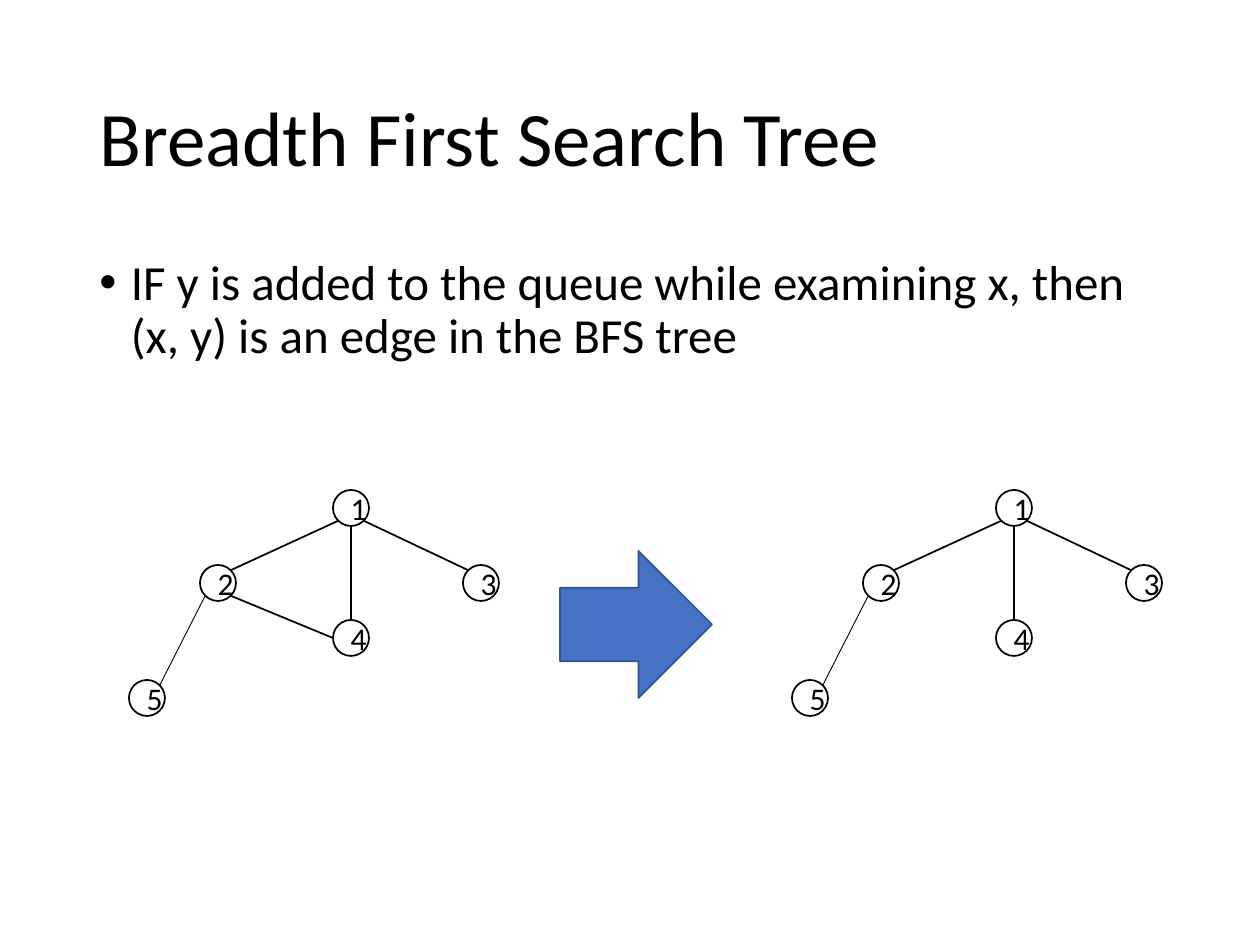
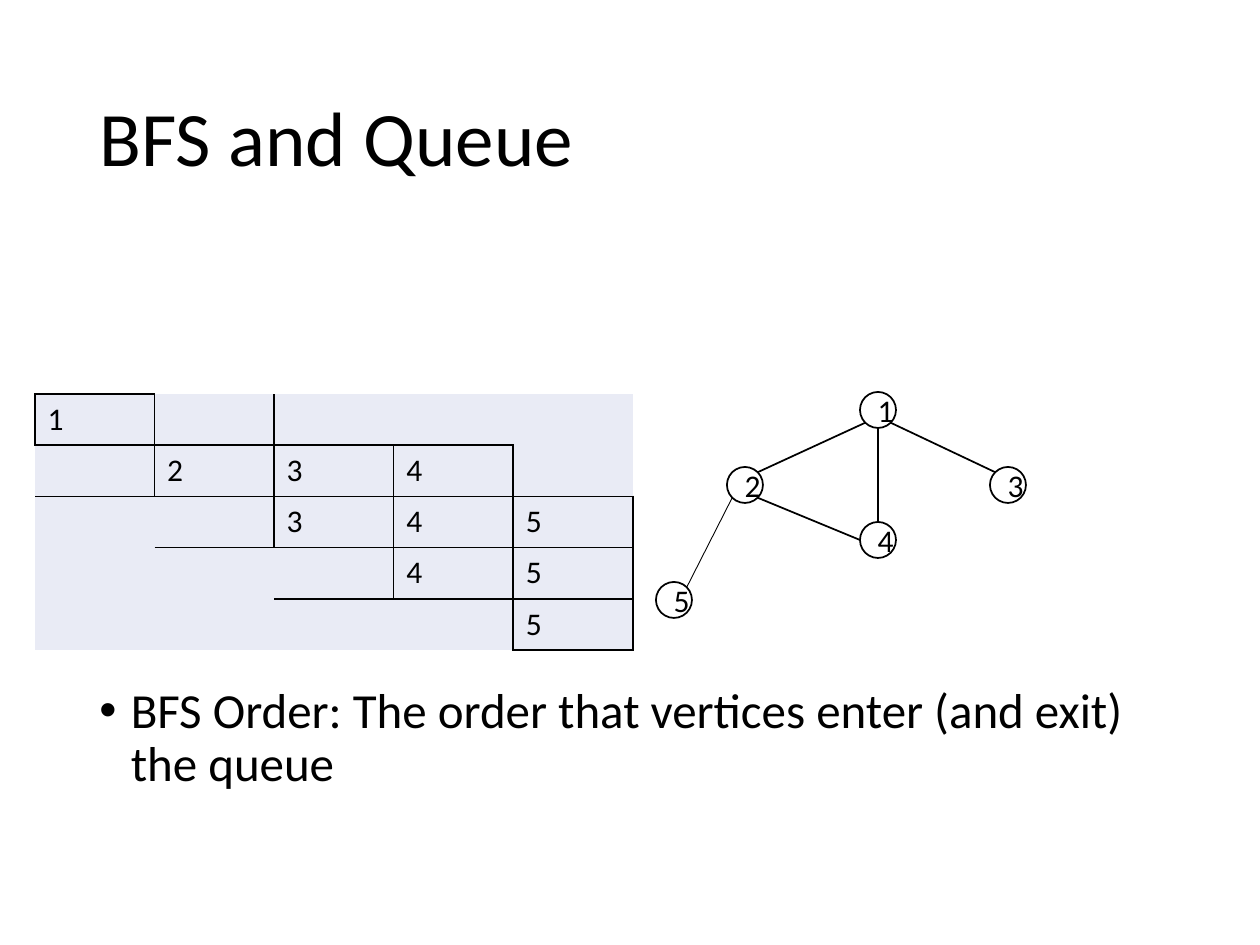
from lxml import etree
from pptx import Presentation
from pptx.dml.color import RGBColor
from pptx.enum.shapes import MSO_CONNECTOR, MSO_SHAPE
from pptx.enum.text import MSO_ANCHOR, MSO_AUTO_SIZE, PP_ALIGN
from pptx.oxml.ns import qn
from pptx.util import Emu, Pt

STRAIGHT = MSO_CONNECTOR.STRAIGHT
OVAL, RIGHT_ARROW = MSO_SHAPE.OVAL, MSO_SHAPE.RIGHT_ARROW
MIDDLE = MSO_ANCHOR.MIDDLE
LEFT, CENTER = PP_ALIGN.LEFT, PP_ALIGN.CENTER
NO_FIT = MSO_AUTO_SIZE.NONE

BLACK = RGBColor(0x00, 0x00, 0x00)
WHITE = RGBColor(0xFF, 0xFF, 0xFF)
ARROW_BLUE = RGBColor(0x44, 0x72, 0xC4)
ARROW_EDGE = RGBColor(0x32, 0x54, 0x91)
CELL_TINT = RGBColor(0xE9, 0xEB, 0xF5)

FONT = "Calibri"
PIXELS_PER_INCH = 126
TITLE_ONLY = 5
PLAIN_TABLE_STYLE = "{2D5ABB26-0587-4C30-8999-92F81FD0307C}"

# Node centres, measured from node 1
RADIUS = 18
DIAGONAL = 0.71
NODES = {1: (0, 0), 4: (0, 130), 2: (-133, 75), 3: (130, 75), 5: (-204, 190)}

# Edge: node and rim direction at each end, then line width in points
TREE_EDGES = [
    (2, (DIAGONAL, -DIAGONAL), 1, (-DIAGONAL, DIAGONAL), 1),
    (1, (DIAGONAL, DIAGONAL), 3, (-DIAGONAL, -DIAGONAL), 1),
    (1, (0, 1), 4, (0, -1), 1),
    (2, (-DIAGONAL, DIAGONAL), 5, (DIAGONAL, -DIAGONAL), 0.5),
]
GRAPH_EDGES = TREE_EDGES + [(4, (-1, 0), 2, (DIAGONAL, DIAGONAL), 1)]

# Queue contents per step: first column and the vertices in it
QUEUE_STEPS = [(0, [1]), (1, [2, 3, 4]), (2, [3, 4, 5]), (3, [4, 5]), (4, [5])]
CELL_SIDES = {"a:lnL": (0, -1), "a:lnR": (0, 1), "a:lnT": (-1, 0), "a:lnB": (1, 0)}


def px(pixels):
    return Emu(round(pixels * 914400 / PIXELS_PER_INCH))


def add_span(para, text, size):
    span = para.add_run()
    span.text = text
    span.font.name = FONT
    span.font.size = Pt(size)
    span.font.color.rgb = BLACK


def add_titled_page(deck, text):
    page = deck.slides.add_slide(deck.slide_layouts[TITLE_ONLY])
    title = page.shapes.title
    title.left, title.top, title.width, title.height = map(px, (87, 50, 1086, 183))
    frame = title.text_frame
    frame.auto_size = NO_FIT
    frame.vertical_anchor = MIDDLE
    para = frame.paragraphs[0]
    para.alignment = LEFT
    para.line_spacing = 0.9
    add_span(para, text, 44)
    return page


def add_bullet(page, top, width, height, lines):
    box = page.shapes.add_textbox(px(87), px(top), px(width), px(height))
    box.text_frame.word_wrap = True
    para = box.text_frame.paragraphs[0]
    para.line_spacing = 0.9
    for index, line in enumerate(lines):
        if index:
            para.add_line_break()
        add_span(para, line, 28)
    settings = para._p.get_or_add_pPr()
    settings.set("marL", "228600")
    settings.set("indent", "-228600")
    etree.SubElement(settings, qn("a:buFont")).set("typeface", "Arial")
    etree.SubElement(settings, qn("a:buChar")).set("char", "•")


def add_solid_shape(page, kind, left, top, width, height, fill, edge):
    shape = page.shapes.add_shape(kind, px(left), px(top), px(width), px(height))
    shape.shadow.inherit = False
    shape.fill.solid()
    shape.fill.fore_color.rgb = fill
    shape.line.color.rgb = edge
    shape.line.width = Pt(1)
    return shape


def add_node(page, x, y, label):
    node = add_solid_shape(page, OVAL, x - RADIUS, y - RADIUS,
                           2 * RADIUS, 2 * RADIUS, WHITE, BLACK)
    frame = node.text_frame
    frame.word_wrap = True
    frame.vertical_anchor = MIDDLE
    para = frame.paragraphs[0]
    para.alignment = CENTER
    add_span(para, str(label), 18)


def add_edge(page, start, end, width):
    edge = page.shapes.add_connector(STRAIGHT, *map(px, start + end))
    edge.line.color.rgb = BLACK
    edge.line.width = Pt(width)
    etree.SubElement(edge._element.spPr, qn("a:effectLst"))


def add_graph(page, x, y, edges):
    def rim(node, direction):
        (dx, dy), (across, down) = NODES[node], direction
        return x + dx + RADIUS * across, y + dy + RADIUS * down

    for label, (dx, dy) in NODES.items():
        add_node(page, x + dx, y + dy, label)
    for first, leaving, second, arriving, width in edges:
        add_edge(page, rim(first, leaving), rim(second, arriving), width)


def add_cell_border(cell, side):
    border = etree.SubElement(cell._tc.get_or_add_tcPr(), qn(side), w=str(Pt(1)))
    fill = etree.SubElement(border, qn("a:solidFill"))
    etree.SubElement(fill, qn("a:srgbClr"), val=str(BLACK))


def add_queue_table(page, left, top, width, height):
    size = len(QUEUE_STEPS)
    table = page.shapes.add_table(size, size, px(left), px(top),
                                  px(width), px(height)).table
    table.first_row = table.horz_banding = False
    table._tbl.tblPr.find(qn("a:tableStyleId")).text = PLAIN_TABLE_STYLE
    queued = {(row, first + offset): vertex
              for row, (first, vertices) in enumerate(QUEUE_STEPS)
              for offset, vertex in enumerate(vertices)}
    for row in range(size):
        for column in range(size):
            cell = table.cell(row, column)
            # A side is ruled when the cell on either side of it is in use
            for side, (down, across) in CELL_SIDES.items():
                if (row, column) in queued or (row + down, column + across) in queued:
                    add_cell_border(cell, side)
            cell.fill.solid()
            cell.fill.fore_color.rgb = CELL_TINT
            if (row, column) in queued:
                add_span(cell.text_frame.paragraphs[0], str(queued[row, column]), 18)


def build_tree_page(deck):
    page = add_titled_page(deck, "Breadth First Search Tree")
    add_bullet(page, 252, 1124, 600,
               ["IF y is added to the queue while examining x, then ",
                "(x, y) is an edge in the BFS tree"])
    add_graph(page, 351, 508, GRAPH_EDGES)
    add_solid_shape(page, RIGHT_ARROW, 560, 551, 152, 147, ARROW_BLUE, ARROW_EDGE)
    add_graph(page, 1014, 508, TREE_EDGES)


def build_queue_page(deck):
    page = add_titled_page(deck, "BFS and Queue")
    add_bullet(page, 680, 1086, 172,
               ["BFS Order: The order that vertices enter (and exit) the queue"])
    add_graph(page, 878, 410, GRAPH_EDGES)
    add_queue_table(page, 35, 394, 598, 256)


def main():
    deck = Presentation()
    deck.slide_width, deck.slide_height = px(1260), px(945)
    build_tree_page(deck)
    build_queue_page(deck)
    deck.save("out.pptx")


main()
